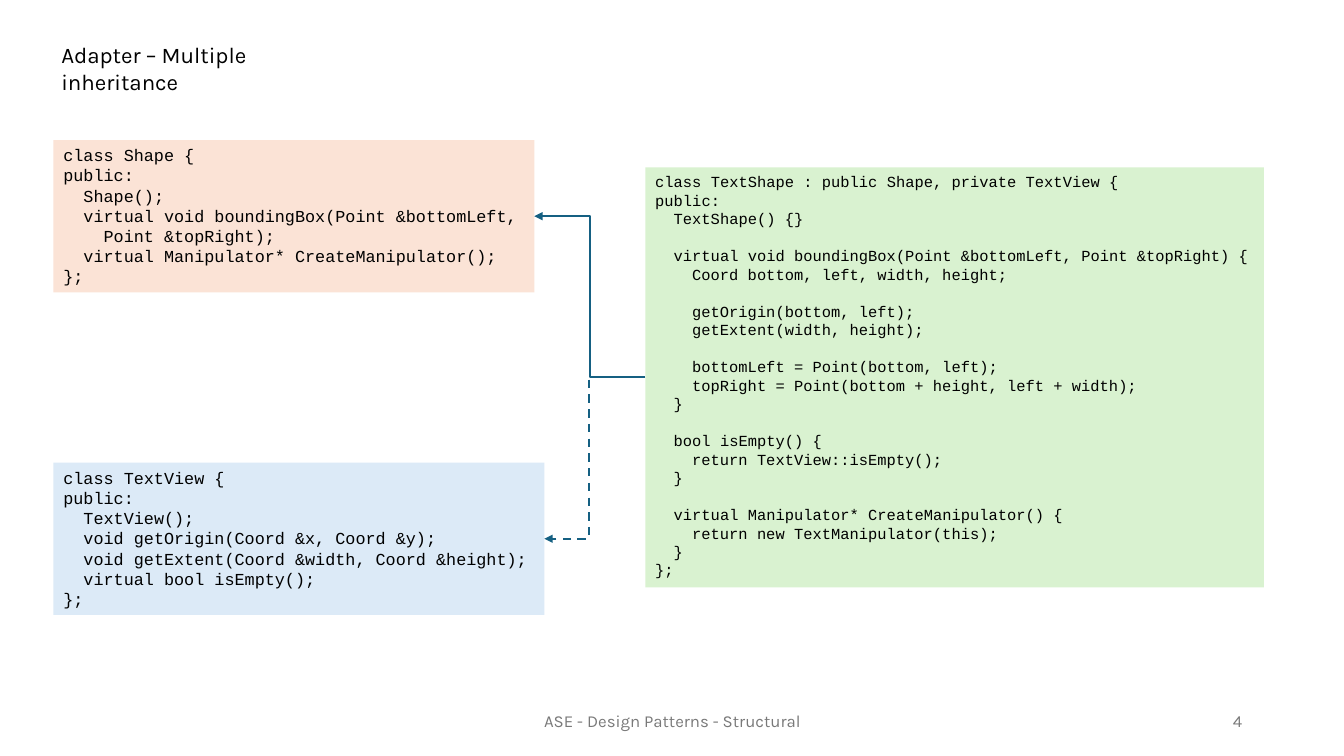
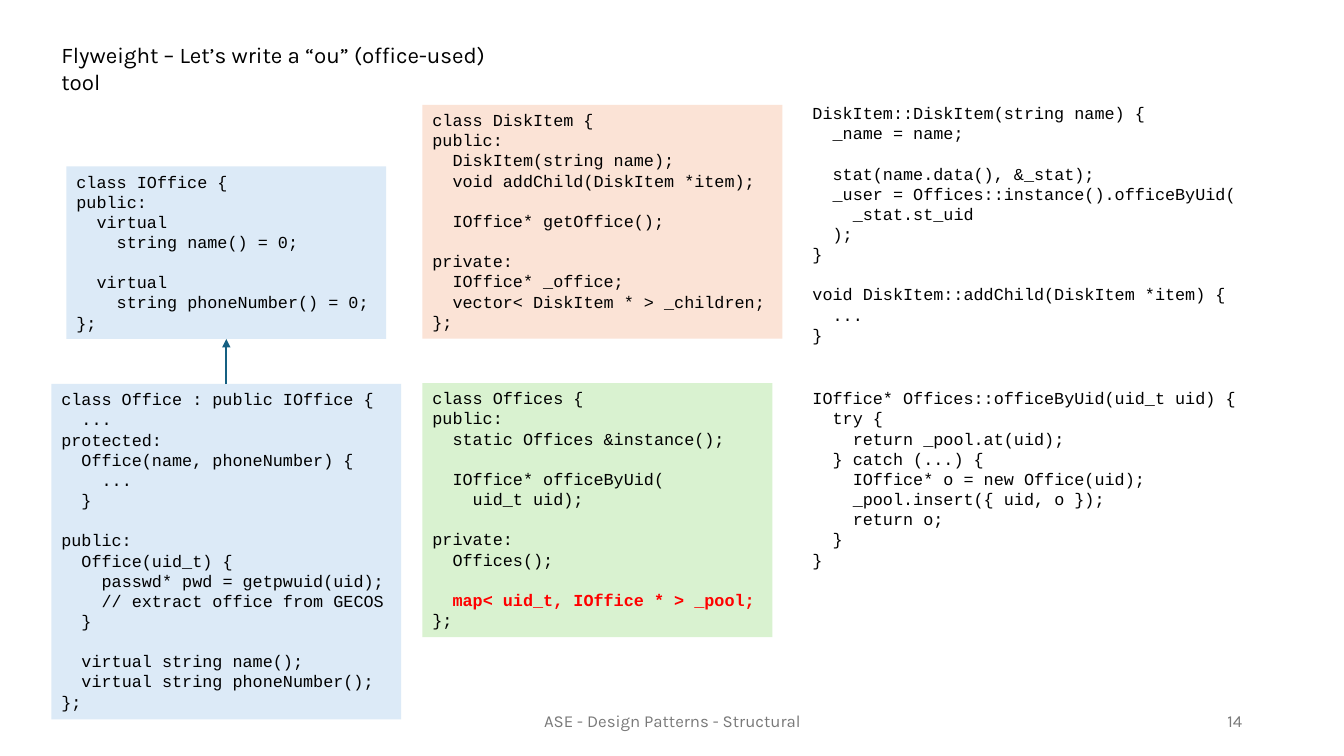
from pptx import Presentation
from pptx.dml.color import RGBColor as Rgb
from pptx.enum.dml import MSO_LINE as Dash
from pptx.enum.shapes import MSO_CONNECTOR as Link
from pptx.enum.text import MSO_ANCHOR as Anchor, PP_ALIGN as Align
from pptx.oxml.ns import qn
from pptx.util import Inches as In, Pt
from lxml.etree import SubElement as Sub

WIDE, HIGH = 13.33, 7.5
HUE = {"text": "000000", "foot": "797979", "line": "156082", "hot": "FF0000",
       "peach": "FBE3D6", "blue": "DCEAF7", "green": "D9F2D0"}
FOOT = "ASE - Design Patterns - Structural"
HOT = "map< uid_t, IOffice * > _pool;"

# Code listings
SHAPE = """
class Shape {
public:
  Shape();
  virtual void boundingBox(Point &bottomLeft,
    Point &topRight);
  virtual Manipulator* CreateManipulator();
};
"""
VIEW = """
class TextView {
public:
  TextView();
  void getOrigin(Coord &x, Coord &y);
  void getExtent(Coord &width, Coord &height);
  virtual bool isEmpty();
};
"""
BOTH = """
class TextShape : public Shape, private TextView {
public:
  TextShape() {}

  virtual void boundingBox(Point &bottomLeft, Point &topRight) {
    Coord bottom, left, width, height;

    getOrigin(bottom, left);
    getExtent(width, height);

    bottomLeft = Point(bottom, left);
    topRight = Point(bottom + height, left + width);
  }

  bool isEmpty() {
    return TextView::isEmpty();
  }

  virtual Manipulator* CreateManipulator() {
    return new TextManipulator(this);
  }
};
"""
ITEM = """
class DiskItem {
public:
  DiskItem(string name);
  void addChild(DiskItem *item);

  IOffice* getOffice();

private:
  IOffice* _office;
  vector< DiskItem * > _children;
};
"""
POOL = """
class Offices {
public:
  static Offices &instance();

  IOffice* officeByUid(
    uid_t uid);

private:
  Offices();

  map< uid_t, IOffice * > _pool;
};
"""
OFFICE = """
class Office : public IOffice {
  ...
protected:
  Office(name, phoneNumber) {
    ...
  }

public:
  Office(uid_t) {
    passwd* pwd = getpwuid(uid);
    // extract office from GECOS
  }

  virtual string name();
  virtual string phoneNumber();
};
"""
MAKE = """
DiskItem::DiskItem(string name) {
  _name = name;

  stat(name.data(), &_stat);
  _user = Offices::instance().officeByUid(
    _stat.st_uid
  );
}

void DiskItem::addChild(DiskItem *item) {
  ...
}
"""
FIND = """
IOffice* Offices::officeByUid(uid_t uid) {
  try {
    return _pool.at(uid);
  } catch (...) {
    IOffice* o = new Office(uid);
    _pool.insert({ uid, o });
    return o;
  }
}
"""
BASE = """
class IOffice {
public:
  virtual
    string name() = 0;

  virtual
    string phoneNumber() = 0;
};
"""

# Boxes: name -> code, left, top, fill, text size
# Links: from, side, to, side, kind, dash, bend
SLIDES = [
    {"title": "Adapter – Multiple inheritance", "width": 3.1, "page": "4",
     "boxes": {"shape": (SHAPE, 0.53, 1.39, "peach", 12),
               "view": (VIEW, 0.53, 4.59, "blue", 12),
               "both": (BOTH, 6.4, 1.66, "green", 11)},
     "links": [("both", 1, "shape", 3, Link.ELBOW, None, 50000),
               ("both", 1, "view", 3, Link.ELBOW, Dash.DASH, 56000)]},
    {"title": "Flyweight – Let’s write a “ou” (office-used) tool",
     "width": 4.64, "page": "14",
     "boxes": {"item": (ITEM, 4.19, 1.04, "peach", 12),
               "pool": (POOL, 4.19, 3.8, "green", 12),
               "office": (OFFICE, 0.51, 3.81, "blue", 12),
               "make": (MAKE, 7.96, 0.97, None, 12),
               "find": (FIND, 7.96, 3.8, None, 12),
               "base": (BASE, 0.66, 1.65, "blue", 12)},
     "links": [("office", 0, "base", 2, Link.STRAIGHT, None, None)]},
]


def write(para, text, size, hue="text", face="Karla", bold=False):
    run = para.add_run()
    run.text = text
    look = {"name": face, "size": Pt(size), "bold": bold}
    for key, val in look.items():
        setattr(run.font, key, val)
    run.font.color.rgb = Rgb.from_string(HUE[hue])


def frame(slide, left, top, wide, high):
    box = slide.shapes.add_textbox(In(left), In(top), In(wide), In(high))
    box.text_frame.word_wrap = True
    return box


def label(slide, text, area, size, hue="text", align=Align.LEFT, anchor=Anchor.TOP):
    body = frame(slide, *area).text_frame
    body.vertical_anchor = anchor
    body.paragraphs[0].alignment = align
    write(body.paragraphs[0], text, size, hue)


def listing(slide, code, left, top, fill, size):
    # Box size follows from the character grid
    lines = code.strip().split("\n")
    wide = max(map(len, lines)) * size / 120 + 0.27
    high = len(lines) * size * 1.21 / 72 + 0.1
    box = frame(slide, left, top, wide, high)
    if fill:
        box.fill.solid()
        box.fill.fore_color.rgb = Rgb.from_string(HUE[fill])
    para, gap = box.text_frame.paragraphs[0], 0
    for num, line in enumerate(lines):
        text = line.strip()
        if not text:
            gap += 1
            continue
        if num:
            para = box.text_frame.add_paragraph()
        depth = len(line) - len(text)
        form = {"alignment": Align.LEFT, "line_spacing": Pt(size * 1.2),
                "space_before": Pt(gap * size * 1.2)}
        for key, val in form.items():
            setattr(para, key, val)
        para._p.get_or_add_pPr().set("marL", str(Pt(depth * size * 0.6)))
        hot = text == HOT
        write(para, text, size, "hot" if hot else "text", "Courier New", hot)
        gap = 0
    return box


def arrow(slide, start, out, stop, into, kind, dash, bend):
    link = slide.shapes.add_connector(kind, 0, 0, 0, 0)
    link.begin_connect(start, out)
    link.end_connect(stop, into)
    link.line.color.rgb = Rgb.from_string(HUE["line"])
    link.line.width = Pt(1.5)
    if dash:
        link.line.dash_style = dash
    Sub(link.line._get_or_add_ln(), qn("a:tailEnd"), type="triangle")
    props = link._element.spPr
    Sub(props, qn("a:effectLst"))
    if bend:
        geom = props.find(qn("a:prstGeom"))
        guides = geom.find(qn("a:avLst"))
        if guides is None:
            guides = Sub(geom, qn("a:avLst"))
        Sub(guides, qn("a:gd"), name="adj1", fmla=f"val {bend}")


def main():
    deck = Presentation()
    deck.slide_width, deck.slide_height = In(WIDE), In(HIGH)
    for page in SLIDES:
        slide = deck.slides.add_slide(deck.slide_layouts[6])
        # Footer and title
        for text, left, wide, align in ((FOOT, 4.42, 4.5, Align.CENTER),
                                        (page["page"], 9.42, 3, Align.RIGHT)):
            label(slide, text, (left, 6.95, wide, 0.4), 12, "foot", align, Anchor.MIDDLE)
        label(slide, page["title"], (0.51, 0.36, page["width"], 0.37), 16)
        # Code and arrows
        made = {key: listing(slide, *val) for key, val in page["boxes"].items()}
        for start, out, stop, into, *style in page["links"]:
            arrow(slide, made[start], out, made[stop], into, *style)
    deck.save("out.pptx")


if __name__ == "__main__":
    main()
